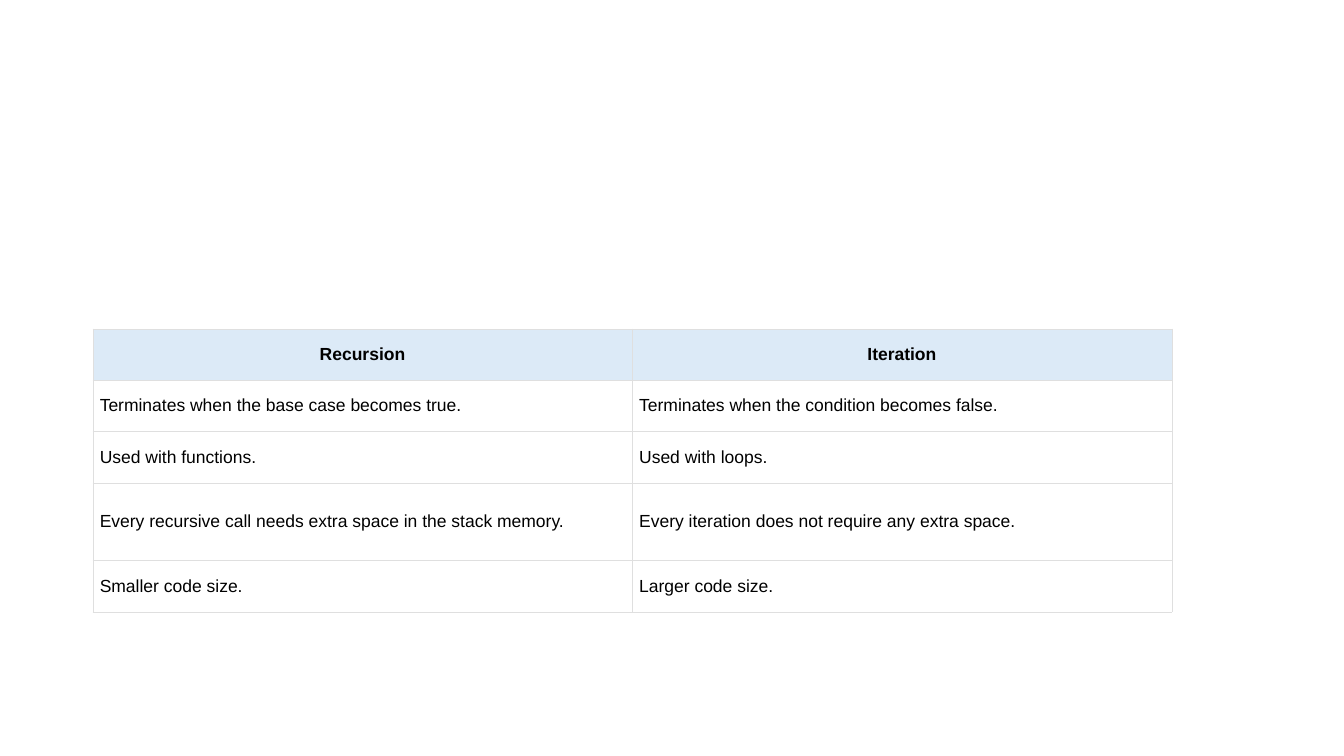
from lxml import etree
from pptx import Presentation
from pptx import util as u
from pptx.dml import color
from pptx.enum import text
from pptx.oxml import ns

COMPARISON = [
    ("Recursion", "Iteration"),
    ("Terminates when the base case becomes true.",
     "Terminates when the condition becomes false."),
    ("Used with functions.", "Used with loops."),
    ("Every recursive call needs extra space in the stack memory.",
     "Every iteration does not require any extra space."),
    ("Smaller code size.", "Larger code size."),
]
ROW_HEIGHTS = [0.51, 0.51, 0.51, 0.77, 0.51]
COLUMN_WIDTHS = [5.35, 5.35]


def rgb(value):
    return color.RGBColor.from_string(value)


class SlideBuilder:
    font = "Arial"
    size = 12.5
    ink = "000000"
    header_fill = "DCEAF7"
    body_fill = "FFFFFF"
    border = "DFDFDF"
    border_width = 0.15

    def __init__(self, slide):
        self.slide = slide

    def table(self, left, top, widths, heights, rows):
        frame = self.slide.shapes.add_table(
            len(rows), len(widths), u.Inches(left), u.Inches(top),
            u.Inches(sum(widths)), u.Inches(sum(heights)))
        grid = frame.table
        for column, width in zip(grid.columns, widths):
            column.width = u.Inches(width)
        for row, height in zip(grid.rows, heights):
            row.height = u.Inches(height)
        for r, wordings in enumerate(rows):
            for c, wording in enumerate(wordings):
                self.cell(grid.cell(r, c), wording, header=r == 0)

    def cell(self, cell, wording, header):
        cell.margin_left = cell.margin_right = u.Inches(0.07)
        cell.margin_top = cell.margin_bottom = u.Inches(0.1)
        cell.vertical_anchor = text.MSO_ANCHOR.MIDDLE
        cell.text_frame.text = wording
        paragraph = cell.text_frame.paragraphs[0]
        paragraph.alignment = text.PP_ALIGN.CENTER if header else text.PP_ALIGN.LEFT
        font = paragraph.runs[0].font
        font.name = self.font
        font.size = u.Pt(self.size)
        font.bold = header
        font.color.rgb = rgb(self.ink)
        self.borders(cell)
        cell.fill.solid()
        cell.fill.fore_color.rgb = rgb(self.header_fill if header else self.body_fill)

    def borders(self, cell):
        properties = cell._tc.get_or_add_tcPr()
        for side in ("lnL", "lnR", "lnT", "lnB"):
            line = etree.SubElement(properties, ns.qn(f"a:{side}"),
                                    w=str(u.Pt(self.border_width)))
            fill = etree.SubElement(line, ns.qn("a:solidFill"))
            etree.SubElement(fill, ns.qn("a:srgbClr"), val=self.border)


def main():
    deck = Presentation()
    deck.slide_width = u.Inches(13.33)
    deck.slide_height = u.Inches(7.5)
    builder = SlideBuilder(deck.slides.add_slide(deck.slide_layouts[6]))
    builder.table(0.92, 3.26, COLUMN_WIDTHS, ROW_HEIGHTS, COMPARISON)
    deck.save("out.pptx")


if __name__ == "__main__":
    main()
